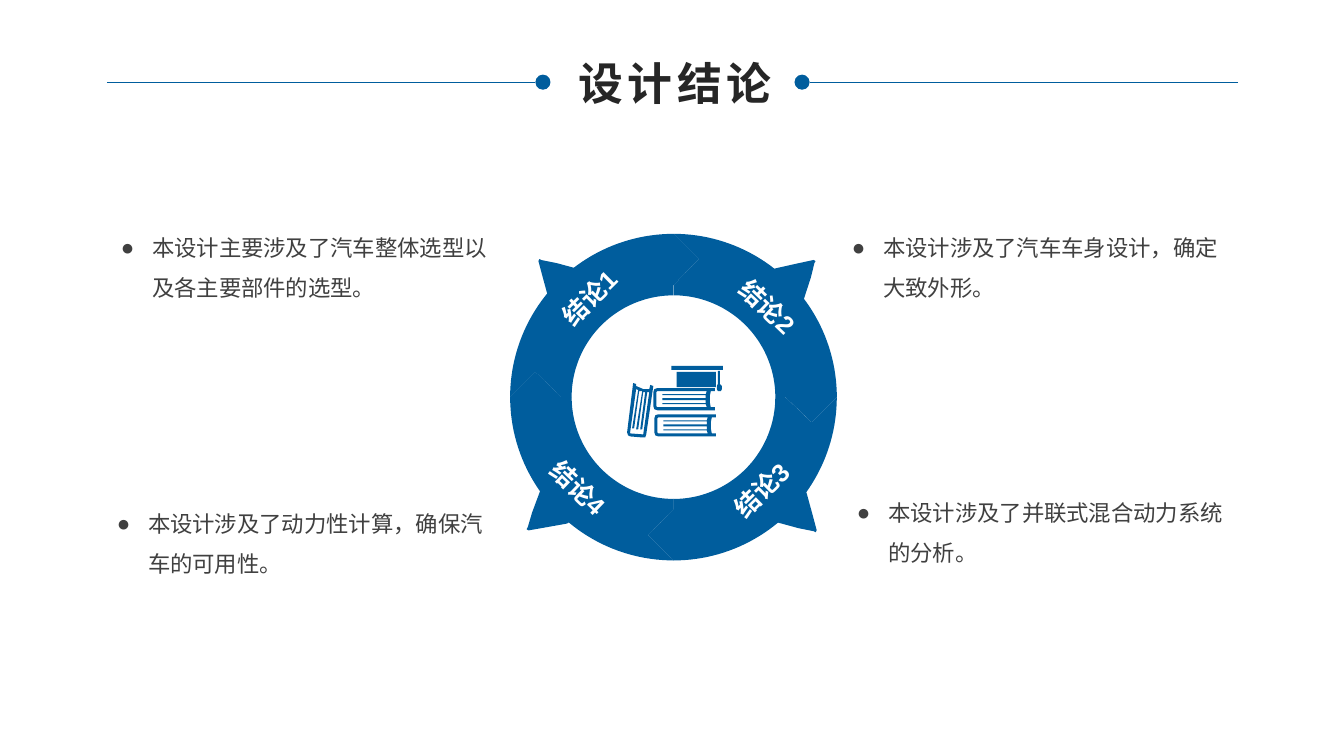
from math import cos, radians, sin

from lxml.etree import SubElement
from pptx import Presentation
from pptx.dml.color import RGBColor
from pptx.enum.shapes import MSO_CONNECTOR, MSO_SHAPE
from pptx.enum.text import MSO_ANCHOR, PP_ALIGN
from pptx.oxml.ns import qn
from pptx.util import Inches, Pt

BLUE = RGBColor(0x00, 0x5D, 0x9D)
WHITE = RGBColor(0xFF, 0xFF, 0xFF)
TITLE_INK = RGBColor(0x26, 0x26, 0x26)
BODY_INK = RGBColor(0x40, 0x40, 0x40)
LATIN_FONT = "Arial"
CHINESE_FONT = "Noto Sans CJK SC"

TITLE = "设计结论"
CONCLUSIONS = [
    ("本设计主要涉及了汽车整体选型以及各主要部件的选型。", 1.1, 2.14),
    ("本设计涉及了汽车车身设计，确定大致外形。", 8.35, 2.14),
    ("本设计涉及了并联式混合动力系统的分析。", 8.4, 4.77),
    ("本设计涉及了动力性计算，确保汽车的可用性。", 1.06, 4.88),
]
LABELS = [
    ("结论1", 5.34, 2.75, 315.3),
    ("结论2", 7.11, 2.84, 43.8),
    ("结论3", 7.05, 4.66, 315.3),
    ("结论4", 5.23, 4.64, 43.8),
]
POINTERS = [
    ((5.55, 2.78), 0),
    ((7.87, 2.78), 92.7),
    ((7.89, 5.07), 180),
    ((5.45, 5.07), 275.1),
]
POINTER = [
    (-0.18, -0.2), (-0.2, -0.21), (-0.21, -0.19), (-0.17, -0.04),
    (-0.11, 0.18), (-0.1, 0.2), (-0.07, 0.19), (0.09, 0.03),
    (0.2, -0.08), (0.21, -0.1), (0.19, -0.11), (-0.03, -0.17),
]
RING_CENTER = (6.68, 3.94)
INNER, OUTER = 1.01, 1.62
CHEVRON = [(1.11, 0), (1.37, 0.25), (1.62, 0)]

DOTS = [(1.06, 5.31, 5.31), (12.28, 8.03, 7.88)]
BOOK_SPOTS = [(6.49, 4.11), (6.48, 3.85)]
BOOK_COVER = [
    (0.04, 0), (0.61, 0), (0.61, 0.03), (0.57, 0.03), (0.56, 0.08), (0.56, 0.14),
    (0.57, 0.19), (0.61, 0.19), (0.61, 0.22), (0.04, 0.22), (0.01, 0.21),
    (0, 0.18), (0, 0.04), (0.01, 0.01),
]
BOOK_PAGES = [
    (0.04, 0.03), (0.53, 0.03), (0.52, 0.06), (0.09, 0.06), (0.09, 0.07),
    (0.52, 0.07), (0.52, 0.1), (0.09, 0.1), (0.09, 0.12), (0.52, 0.12),
    (0.52, 0.15), (0.09, 0.15), (0.09, 0.16), (0.52, 0.16), (0.53, 0.19),
    (0.04, 0.19), (0.03, 0.18), (0.03, 0.04),
]
LEANING_COVER = [
    (6.44, 3.86), (6.38, 3.86), (6.31, 3.83), (6.31, 3.81), (6.28, 3.8),
    (6.22, 4.29), (6.23, 4.32), (6.25, 4.33), (6.37, 4.34), (6.4, 4.34),
    (6.41, 4.31), (6.48, 3.83), (6.45, 3.82),
]
LEANING_PAGES = [
    (6.38, 4.31), (6.25, 4.3), (6.25, 4.29), (6.31, 3.86), (6.33, 3.87),
    (6.27, 4.25), (6.29, 4.25), (6.34, 3.88), (6.37, 3.88), (6.31, 4.26),
    (6.33, 4.26), (6.38, 3.89), (6.4, 3.89), (6.35, 4.26), (6.37, 4.26),
    (6.42, 3.89), (6.44, 3.89),
]
TASSEL = [
    (7.14, 3.68), (7.12, 3.68), (7.12, 3.81), (7.11, 3.83), (7.11, 3.86),
    (7.12, 3.88), (7.13, 3.88), (7.15, 3.88), (7.16, 3.86), (7.16, 3.83), (7.14, 3.81),
]
CAP = [(6.66, 3.63, 0.51, 0.04), (6.71, 3.69, 0.39, 0.15)]


def shift(points, origin):
    return [(x + origin[0], y + origin[1]) for x, y in points]


def turn(points, degrees):
    c, s = cos(radians(degrees)), sin(radians(degrees))
    return [(x * c - y * s, x * s + y * c) for x, y in points]


def arc(radius, start, end, steps=45):
    angles = [radians(start + (end - start) * i / steps) for i in range(steps + 1)]
    return [(radius * cos(a), radius * sin(a)) for a in angles]


def paint(shape, color):
    shape.shadow.inherit = False
    shape.fill.solid()
    shape.fill.fore_color.rgb = color
    shape.line.fill.background()


def outline(color, *contours):
    scaled = [[(Inches(x), Inches(y)) for x, y in contour] for contour in contours]
    builder = slide.shapes.build_freeform(*scaled[0][0])
    for number, contour in enumerate(scaled):
        if number:
            builder.move_to(*contour[0])
        builder.add_line_segments(contour[1:], close=True)
    paint(builder.convert_to_shape(), color)


def preset(kind, box, color):
    paint(slide.shapes.add_shape(kind, *map(Inches, box)), color)


def write(text, box, size, color, font, bold=False, wrap=True):
    area = slide.shapes.add_textbox(*map(Inches, box))
    frame = area.text_frame
    frame.word_wrap = wrap
    frame.vertical_anchor = MSO_ANCHOR.TOP
    frame.text = text
    paragraph = frame.paragraphs[0]
    run = paragraph.runs[0]
    run.font.size = Pt(size)
    run.font.bold = bold
    run.font.color.rgb = color
    run.font.name = font
    SubElement(run.font._element, qn("a:ea")).set("typeface", CHINESE_FONT)
    return area, paragraph


prs = Presentation()
prs.slide_width, prs.slide_height = Inches(13.33), Inches(7.5)
slide = prs.slides.add_slide(prs.slide_layouts[6])

for far_end, near_end, dot_left in DOTS:
    rule = slide.shapes.add_connector(
        MSO_CONNECTOR.STRAIGHT, *map(Inches, (far_end, 0.82, near_end, 0.82)))
    rule.line.color.rgb = BLUE
    rule.line.width = Pt(0.25)
    SubElement(rule._element.spPr, qn("a:effectLst"))
    preset(MSO_SHAPE.OVAL, (dot_left, 0.74, 0.15, 0.15), BLUE)

_, heading = write(TITLE, (5.61, 0.5, 2.17, 0.64), 32, TITLE_INK, LATIN_FONT, True, False)
heading.alignment = PP_ALIGN.CENTER
heading.runs[0].font._element.set("spc", "300")

outline(WHITE, shift(arc(INNER, 180, 360), RING_CENTER))
segment = (arc(INNER, 180, 270) + turn(CHEVRON, 270)
           + arc(OUTER, 270, 180) + turn(CHEVRON, 180)[::-1])
for quarter, (spot, angle) in enumerate(POINTERS):
    outline(BLUE, shift(turn(segment, 90 * quarter), RING_CENTER))
    outline(BLUE, shift(turn(POINTER, angle), spot))

for text, left, top, angle in LABELS:
    label, line = write(text, (left, top, 1.01, 0.4), 18, WHITE, LATIN_FONT, True)
    label.rotation = angle
    line.alignment = PP_ALIGN.CENTER

for spot in BOOK_SPOTS:
    outline(BLUE, shift(BOOK_COVER, spot), shift(BOOK_PAGES, spot))
outline(BLUE, LEANING_COVER, LEANING_PAGES)
outline(BLUE, TASSEL)
for box in CAP:
    preset(MSO_SHAPE.RECTANGLE, box, BLUE)

for text, left, top in CONCLUSIONS:
    _, point = write(text, (left, top, 4.01, 0.91), 16, BODY_INK, CHINESE_FONT)
    point.line_spacing = 1.5
    properties = point._p.get_or_add_pPr()
    properties.set("marL", str(Inches(0.31)))
    properties.set("indent", str(-Inches(0.31)))
    SubElement(properties, qn("a:buFont")).set("typeface", LATIN_FONT)
    SubElement(properties, qn("a:buChar")).set("char", "●")

prs.save("out.pptx")
